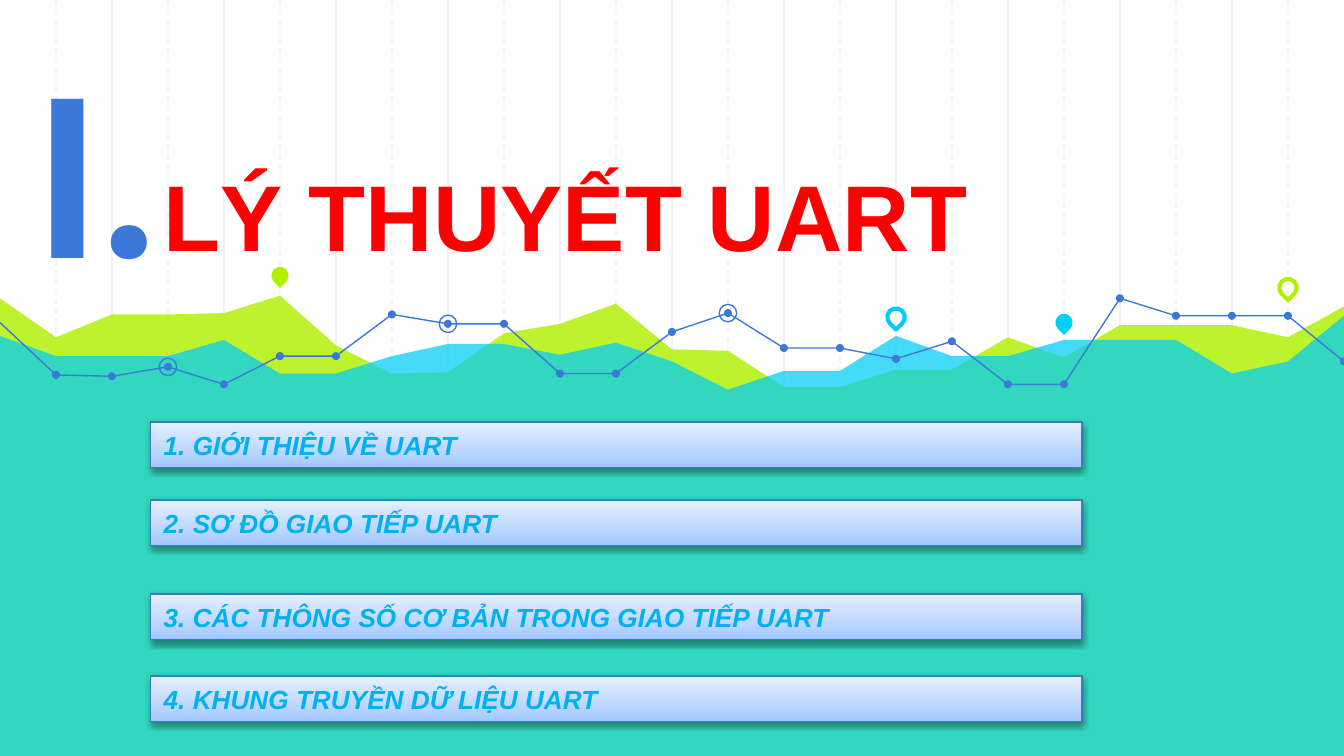
from copy import deepcopy

from lxml.etree import SubElement
from pptx import Presentation
from pptx.dml.color import RGBColor
from pptx.enum.dml import MSO_LINE
from pptx.enum.shapes import MSO_CONNECTOR, MSO_SHAPE
from pptx.enum.text import MSO_ANCHOR, MSO_AUTO_SIZE, PP_ALIGN
from pptx.oxml.ns import qn
from pptx.util import Inches, Pt

WIDTH = 10
HEIGHT = WIDTH * 9 / 16
BACKGROUND_BOTTOM = 5.65
COLUMNS = 24
COLUMN = WIDTH / COLUMNS

GRID_GRAY = RGBColor(0xF3, 0xF3, 0xF3)
GREEN = RGBColor(0xAF, 0xF0, 0x00)
CYAN = RGBColor(0x00, 0xCE, 0xF6)
BLUE = RGBColor(0x3C, 0x78, 0xD8)
RED = RGBColor(0xFF, 0x00, 0x00)
BAR_TEXT = RGBColor(0x00, 0xB0, 0xF0)
BAR_LINE = RGBColor(0x36, 0x7E, 0xB9)
BAR_STOPS = [
    (0, RGBColor(0xA0, 0xC8, 0xFF)),
    (0.35, RGBColor(0xBC, 0xD7, 0xFF)),
    (1, RGBColor(0xE5, 0xF0, 0xFF)),
]

# Heights at each grid column, from the left edge to the right edge
GREEN_AREA = [2.22, 2.51, 2.34, 2.34, 2.33, 2.2, 2.57, 2.78, 2.77, 2.48, 2.41, 2.26, 2.6,
              2.61, 2.88, 2.88, 2.75, 2.75, 2.51, 2.66, 2.42, 2.42, 2.42, 2.51, 2.28]
CYAN_AREA = [2.5, 2.65, 2.65, 2.65, 2.53, 2.78, 2.78, 2.65, 2.56, 2.56, 2.64, 2.55, 2.69,
             2.9, 2.76, 2.76, 2.5, 2.65, 2.65, 2.53, 2.53, 2.53, 2.78, 2.69, 2.35]
TREND = [2.4, 2.79, 2.8, 2.73, 2.86, 2.65, 2.65, 2.34, 2.41, 2.41, 2.78, 2.78, 2.47,
         2.33, 2.59, 2.59, 2.67, 2.54, 2.86, 2.86, 2.22, 2.35, 2.35, 2.35, 2.69]
RINGED_COLUMNS = [3, 8, 13]
# Column, centre height, colour, filled
PINS = [(5, 2.05, GREEN, True), (16, 2.36, CYAN, False),
        (19, 2.4, CYAN, True), (23, 2.14, GREEN, False)]
TOPICS = [
    (3.14, "1. GIỚI THIỆU VỀ UART"),
    (3.72, "2. SƠ ĐỒ GIAO TIẾP UART"),
    (4.42, "3. CÁC THÔNG SỐ CƠ BẢN TRONG GIAO TIẾP UART"),
    (5.03, "4. KHUNG TRUYỀN DỮ LIỆU UART"),
]


def style_shape(shape, fill=None, line=None, weight=0.75):
    shape.shadow.inherit = False
    if fill is None:
        shape.fill.background()
    else:
        shape.fill.solid()
        shape.fill.fore_color.rgb = fill
    if line is None:
        shape.line.fill.background()
    else:
        shape.line.color.rgb = line
        shape.line.width = Pt(weight)


def write_text(shape, text, color, alignment, frame_format, font_format):
    frame = shape.text_frame
    for name, value in frame_format.items():
        setattr(frame, name, value)
    paragraph = frame.paragraphs[0]
    paragraph.alignment = alignment
    run = paragraph.add_run()
    run.text = text
    for name, value in font_format.items():
        setattr(run.font, name, value)
    run.font.color.rgb = color


def add_grid_line(slide, column):
    x = Inches(column * COLUMN)
    line = slide.shapes.add_connector(MSO_CONNECTOR.STRAIGHT, x, 0, x,
                                      Inches(BACKGROUND_BOTTOM))
    line.line.color.rgb = GRID_GRAY
    line.line.width = Pt(0.75)
    if column % 2:
        line.line.dash_style = MSO_LINE.DASH
    SubElement(line._element.spPr, qn("a:effectLst"))


def add_outline(slide, points, close):
    points = [(Inches(x), Inches(y)) for x, y in points]
    builder = slide.shapes.build_freeform(*points[0])
    builder.add_line_segments(points[1:], close=close)
    return builder.convert_to_shape()


def column_points(heights):
    return [(column * COLUMN, y) for column, y in enumerate(heights)]


def add_area(slide, heights, color, opacity):
    corners = [(WIDTH, BACKGROUND_BOTTOM), (0, BACKGROUND_BOTTOM)]
    area = add_outline(slide, column_points(heights) + corners, close=True)
    style_shape(area, fill=color)
    color_element = area._element.spPr.find(qn("a:solidFill"))[0]
    SubElement(color_element, qn("a:alpha"), val=str(opacity * 1000))


def add_marker(slide, kind, column, y, size, **style):
    left, top = column * COLUMN - size / 2, y - size / 2
    marker = slide.shapes.add_shape(kind, Inches(left), Inches(top), Inches(size), Inches(size))
    style_shape(marker, **style)
    return marker


def add_pin(slide, column, y, color, filled):
    style = {"fill": color} if filled else {"line": color, "weight": 2.25}
    pin = add_marker(slide, MSO_SHAPE.TEAR, column, y, 0.13, **style)
    pin.rotation = 135


def add_trend(slide):
    style_shape(add_outline(slide, column_points(TREND), close=False), line=BLUE)
    for column, y in list(enumerate(TREND))[1:]:
        add_marker(slide, MSO_SHAPE.OVAL, column, y, 0.06, fill=BLUE)
    for column in RINGED_COLUMNS:
        add_marker(slide, MSO_SHAPE.OVAL, column, TREND[column], 0.13, line=BLUE)


def add_topic_bar(slide, top, text):
    bar = slide.shapes.add_shape(MSO_SHAPE.RECTANGLE, Inches(1.12), Inches(top),
                                 Inches(6.93), Inches(0.34))
    style_shape(bar, line=BAR_LINE)

    # Three-stop gradient, darkest at the bottom
    bar.fill.gradient()
    bar.fill.gradient_angle = 90
    stop_list = bar._element.spPr.find(qn("a:gradFill")).find(qn("a:gsLst"))
    stop_list.insert(1, deepcopy(stop_list[0]))
    for stop, (position, color) in zip(bar.fill.gradient_stops, BAR_STOPS):
        stop.position = position
        stop.color.rgb = color

    # Soft shadow straight below
    effects = bar._element.spPr.find(qn("a:effectLst"))
    shadow = SubElement(effects, qn("a:outerShdw"), blurRad=str(Pt(3.1)), dist=str(Pt(1.6)),
                        dir="5400000", rotWithShape="0")
    shadow_color = SubElement(shadow, qn("a:srgbClr"), val="000000")
    SubElement(shadow_color, qn("a:alpha"), val="38000")

    write_text(bar, text, BAR_TEXT, PP_ALIGN.LEFT,
               {"word_wrap": True, "auto_size": MSO_AUTO_SIZE.SHAPE_TO_FIT_TEXT},
               {"name": "Arial", "size": Pt(14), "bold": True, "italic": True})


def add_heading(slide):
    inset = Inches(0.1)
    frame_format = {"word_wrap": True, "auto_size": MSO_AUTO_SIZE.NONE,
                    "vertical_anchor": MSO_ANCHOR.BOTTOM,
                    "margin_left": inset, "margin_right": inset,
                    "margin_top": inset, "margin_bottom": inset}
    title = slide.shapes.title
    title.left, title.top = Inches(1.12), Inches(0.84)
    title.width, title.height = Inches(8.46), Inches(1.27)
    write_text(title, "LÝ THUYẾT UART", RED, PP_ALIGN.LEFT, frame_format,
               {"name": "Arial", "size": Pt(50), "bold": True})
    # Bring the title in front of the background
    slide.shapes._spTree.append(title._element)

    number = slide.shapes.add_textbox(Inches(-0.22), 0, Inches(1.93), Inches(2.36))
    write_text(number, "I.", BLUE, PP_ALIGN.CENTER, frame_format,
               {"name": "Roboto Condensed", "size": Pt(120), "bold": True})


def main():
    presentation = Presentation()
    presentation.slide_width, presentation.slide_height = Inches(WIDTH), Inches(HEIGHT)
    slide = presentation.slides.add_slide(presentation.slide_layouts[5])

    # Background grid and landscape
    for column in range(1, COLUMNS):
        add_grid_line(slide, column)
    add_area(slide, GREEN_AREA, GREEN, 82)
    add_area(slide, CYAN_AREA, CYAN, 73)
    for pin in PINS:
        add_pin(slide, *pin)
    add_trend(slide)

    # Section heading and topics
    add_heading(slide)
    for top, text in TOPICS:
        add_topic_bar(slide, top, text)
    presentation.save("out.pptx")


if __name__ == "__main__":
    main()
